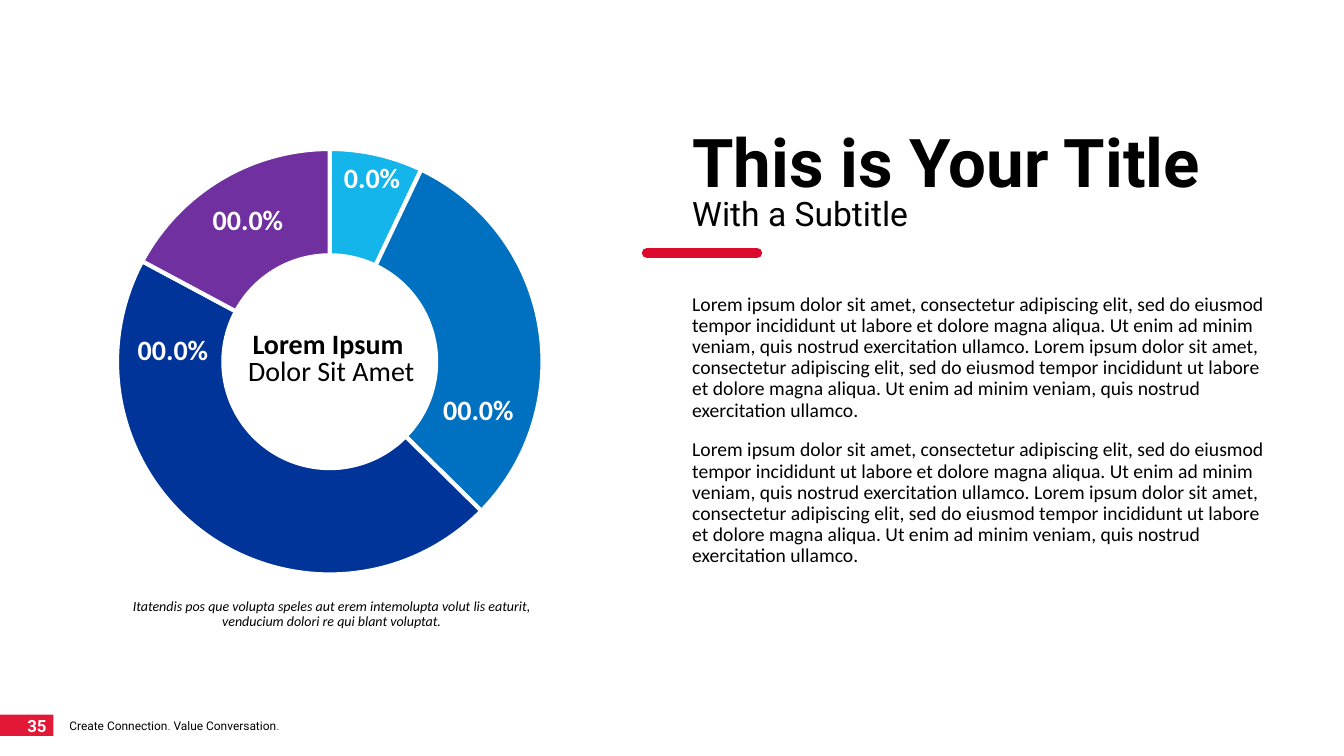
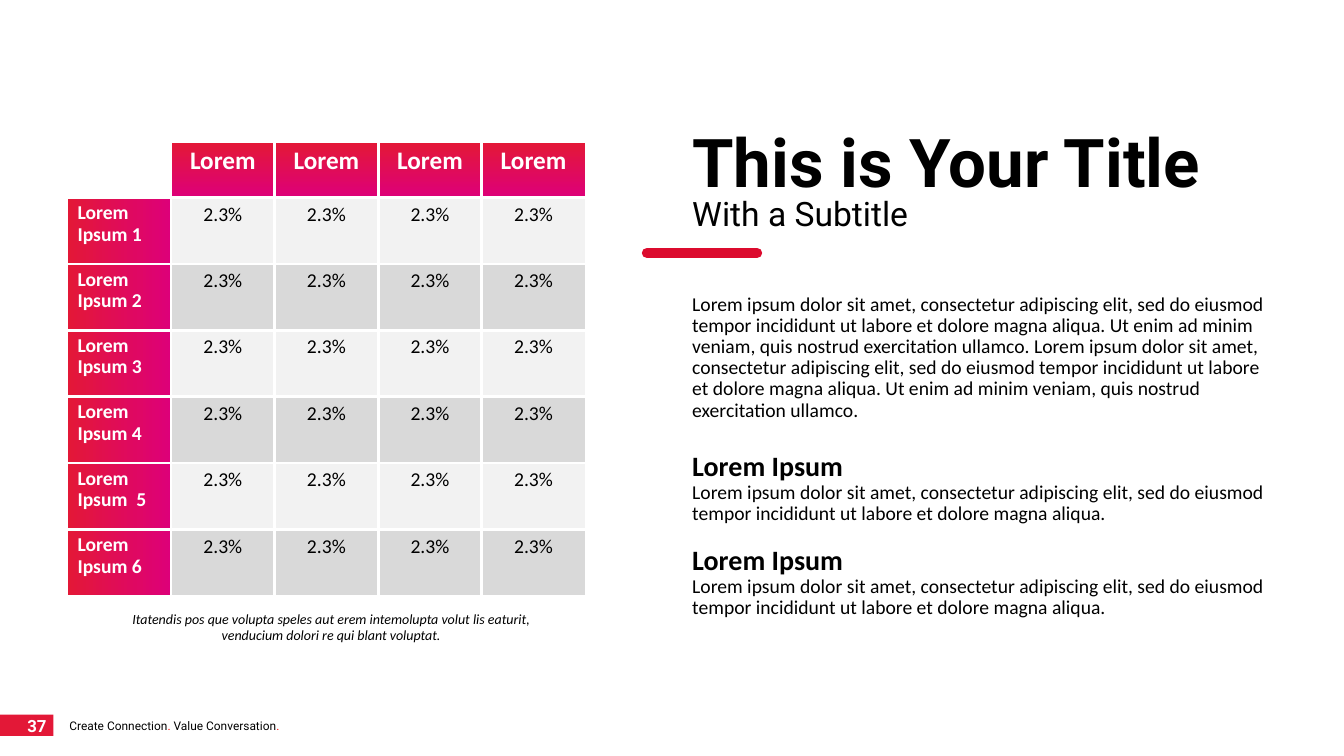
from dataclasses import dataclass
from lxml.etree import SubElement
from pptx import Presentation
from pptx.chart.data import CategoryChartData
from pptx.dml.color import RGBColor
from pptx.enum.chart import XL_CHART_TYPE as ChartType
from pptx.enum.shapes import MSO_CONNECTOR as Connector, MSO_SHAPE as Preset
from pptx.enum.text import MSO_ANCHOR as Anchor, PP_ALIGN as Align
from pptx.oxml import parse_xml
from pptx.oxml.ns import nsdecls, qn
from pptx.util import Pt


@dataclass(frozen=True)
class Style:
    size: float
    color: str = "000000"
    font: str = "Calibri"
    bold: bool = False
    italic: bool = False


class Theme:
    white, black, dot = "FFFFFF", "000000", "FF0000"
    badge, rule = "E31837", "DC0B2E"
    gradient = ("E31837", "DD0079")
    bands = ("F2F2F2", "D9D9D9")
    slices = ("13B5EA", "0070C0", "003499", "7030A0")
    title = Style(48, font="Roboto", bold=True)
    subtitle = Style(24, font="Roboto")
    page = Style(12, white, "Roboto", True)
    motto = Style(8.5, font="Roboto")
    motto_dot = Style(8.5, dot, "Roboto")
    body = Style(14)
    heading = Style(20, bold=True)
    center = Style(20)
    share = Style(20, white, bold=True)
    caption = Style(10, italic=True)
    column = Style(18, white, bold=True)
    row = Style(14, white, bold=True)


SENTENCE = (
    "Lorem ipsum dolor sit amet, consectetur adipiscing elit, sed do eiusmod "
    "tempor incididunt ut labore et dolore magna aliqua."
)
PASSAGE = " ".join([f"{SENTENCE} Ut enim ad minim veniam, quis nostrud exercitation ullamco."] * 2)
TITLE = ("This is Your Title", "With a Subtitle")
MOTTO = ("Create Connection", ".", " Value Conversation", ".")
CAPTION = (
    "Itatendis pos que volupta speles aut erem intemolupta volut lis eaturit, "
    "venducium dolori re qui blant voluptat."
)
CENTER = (("Lorem Ipsum ", Theme.heading), ("Dolor Sit Amet", Theme.center))
SHARES = [("1", 7), ("2", 30), ("3", 45), ("4", 17)]
SHARE_LABELS = [
    ("0.0%", 236.2, 117.4, 66.2),
    ("00.0%", 311.8, 283, 67),
    ("00.0%", 92.2, 240.5, 69.8),
    ("00.0%", 147.6, 147.6, 66.2),
]
CHART_BODY = [(PASSAGE, Theme.body, 0), (PASSAGE, Theme.body, 13.3)]
TABLE_BODY = [
    (PASSAGE, Theme.body, 0),
    ("Lorem Ipsum", Theme.heading, 22),
    (SENTENCE, Theme.body, 0),
    ("Lorem Ipsum", Theme.heading, 15.4),
    (SENTENCE, Theme.body, 0),
]
COLUMNS = ["Lorem"] * 4
ROWS = [("Lorem\nIpsum " + number, ["2.3%"] * 4) for number in ("1", "2", "3", "4", " 5", "6")]
COLUMN_WIDTH, HEADER_HEIGHT, ROW_HEIGHT = 74, 39.6, 47.4


def rgb(color):
    return RGBColor.from_string(color)


def points(*lengths):
    return [Pt(length) for length in lengths]


def apply_style(paragraph, styles, align=None, spacing=0.9):
    paragraph.alignment = align
    paragraph.line_spacing = spacing
    for run, style in zip(paragraph.runs, styles):
        font = run.font
        font.name, font.size = style.font, Pt(style.size)
        font.bold, font.italic = style.bold, style.italic
        font.color.rgb = rgb(style.color)


def add_text(slide, box, paragraphs, align=None, spacing=0.9, insets=(7.2, 3.6, 7.2, 3.6)):
    frame = slide.shapes.add_textbox(*points(*box)).text_frame
    frame.word_wrap = True
    frame.vertical_anchor = Anchor.TOP
    frame.margin_left, frame.margin_top, frame.margin_right, frame.margin_bottom = points(*insets)
    frame.text = "\n".join(text for text, *_ in paragraphs)
    for paragraph, (_, style, before) in zip(frame.paragraphs, paragraphs):
        apply_style(paragraph, [style], align, spacing)
        if before:
            paragraph.space_before = Pt(before)
    return frame


def add_title(slide):
    frame = add_text(slide, (487.4, 93.6, 427, 90.7), [("\v".join(TITLE), Theme.title, 0)])
    apply_style(frame.paragraphs[0], [Theme.title, Theme.subtitle], spacing=0.8)
    rule = slide.shapes.add_connector(Connector.STRAIGHT, *points(462.2, 180.7, 540.7, 180.7))
    rule.line.color.rgb = rgb(Theme.rule)
    rule.line.width = Pt(7.5)
    rule.line._get_or_add_ln().set("cap", "rnd")
    SubElement(rule._element.spPr, qn("a:effectLst"))


def add_footer(slide, page):
    badge = slide.shapes.add_shape(Preset.RECTANGLE, *points(0, 510.5, 38.2, 15.1))
    badge.shadow.inherit = False
    badge.fill.solid()
    badge.fill.fore_color.rgb = rgb(Theme.badge)
    badge.line.fill.background()
    add_text(slide, (3.6, 509, 36.7, 20.2), [(page, Theme.page, 0)], Align.RIGHT)
    motto = add_text(slide, (42.5, 511.2, 180, 18), [(MOTTO[0], Theme.motto, 0)]).paragraphs[0]
    for part in MOTTO[1:]:
        motto.add_run().text = part
    apply_style(motto, [Theme.motto, Theme.motto_dot] * 2)


def add_donut(slide):
    data = CategoryChartData()
    data.categories = [name for name, _ in SHARES]
    data.add_series("Series 1", [value for _, value in SHARES])
    frame = slide.shapes.add_chart(ChartType.DOUGHNUT, *points(0, 91.4, 475.9, 334.1), data)
    chart = frame.chart
    chart.has_legend = chart.has_title = False
    chart.font.name, chart.font.size = "Calibri", Pt(18)
    chart.font.color.rgb = rgb(Theme.black)
    donut = chart.plots[0]
    donut.vary_by_categories = True
    donut._element.find(qn("c:holeSize")).set("val", "50")
    area = chart._chartSpace.chart.plotArea
    for layout in area.findall(qn("c:layout")):
        area.remove(layout)
    area.insert(0, parse_xml(
        f'<c:layout {nsdecls("c")}><c:manualLayout><c:layoutTarget val="inner"/>'
        '<c:xMode val="edge"/><c:yMode val="edge"/><c:x val="0.07"/><c:y val="0.045"/>'
        '<c:w val="0.85"/><c:h val="0.91"/></c:manualLayout></c:layout>'
    ))
    for index, color in enumerate(Theme.slices):
        share = donut.series[0].points[index].format
        share.fill.solid()
        share.fill.fore_color.rgb = rgb(color)
        share.line.color.rgb = rgb(Theme.white)
        share.line.width = Pt(3)
    for text, left, top, width in SHARE_LABELS:
        add_text(slide, (left, top, width, 25.2), [(text, Theme.share, 0)],
                 Align.CENTER, insets=(0, 0, 7.2, 3.6))
    add_text(slide, (164.2, 237.6, 144.7, 28.1), [(text, style, 0) for text, style in CENTER],
             Align.CENTER, spacing=0.8, insets=(0, 0, 0, 0))


def set_borders(cell, widths):
    properties = cell._tc.get_or_add_tcPr()
    for index, (side, width) in enumerate(zip("LRTB", widths)):
        properties.insert(index, parse_xml(
            f'<a:ln{side} {nsdecls("a")} w="{Pt(width)}"><a:solidFill>'
            f'<a:srgbClr val="{Theme.white}"/></a:solidFill></a:ln{side}>'
        ))


def fill_plain(cell, color):
    cell.fill.solid()
    cell.fill.fore_color.rgb = rgb(color)


def fill_gradient(cell, angle):
    cell.fill.gradient()
    cell.fill.gradient_angle = angle
    for stop, color in zip(cell.fill.gradient_stops, Theme.gradient):
        stop.color.rgb = rgb(color)


def add_rates(slide):
    grid = [["", *COLUMNS]] + [[label, *rates] for label, rates in ROWS]
    heights = [HEADER_HEIGHT] + [ROW_HEIGHT] * len(ROWS)
    row_count, column_count = len(grid), len(grid[0])
    size = points(48.2, 101.5, COLUMN_WIDTH * column_count, sum(heights))
    table = slide.shapes.add_table(row_count, column_count, *size).table
    table.first_row = table.horz_banding = False
    for column in table.columns:
        column.width = Pt(COLUMN_WIDTH)
    row_edges = [1, 3] + [2.25] * (row_count - 2) + [1]
    column_edges = [1] + [2.25] * (column_count - 1) + [1]
    for r, texts in enumerate(grid):
        table.rows[r].height = Pt(heights[r])
        for c, text in enumerate(texts):
            cell = table.cell(r, c)
            cell.text_frame.text = text
            style, align, spacing = Theme.body, Align.CENTER, 1.0
            if r == c == 0:
                fill_plain(cell, Theme.white)
            elif r == 0:
                fill_gradient(cell, 270)
                style, spacing = Theme.column, 0.9
            elif c == 0:
                fill_gradient(cell, 0)
                style, align, spacing = Theme.row, Align.LEFT, 0.9
            else:
                fill_plain(cell, Theme.bands[(r - 1) % 2])
            for paragraph in cell.text_frame.paragraphs:
                apply_style(paragraph, [style], align, spacing)
            set_borders(cell, column_edges[c:c + 2] + row_edges[r:r + 2])


SLIDES = [
    ("35", add_donut, CHART_BODY, 203.8, (87.1, 424.8, 299.5, 28.8)),
    ("37", add_rates, TABLE_BODY, 240.5, (69.1, 434.2, 334.8, 28.8)),
]


def main():
    deck = Presentation()
    deck.slide_width, deck.slide_height = points(960, 540)
    for page, add_figure, body, body_height, caption_box in SLIDES:
        slide = deck.slides.add_slide(deck.slide_layouts[6])
        add_footer(slide, page)
        add_title(slide)
        add_figure(slide)
        add_text(slide, (487.4, 206.6, 427, body_height), body)
        add_text(slide, caption_box, [(CAPTION, Theme.caption, 0)], Align.CENTER)
    deck.save("out.pptx")


if __name__ == "__main__":
    main()
